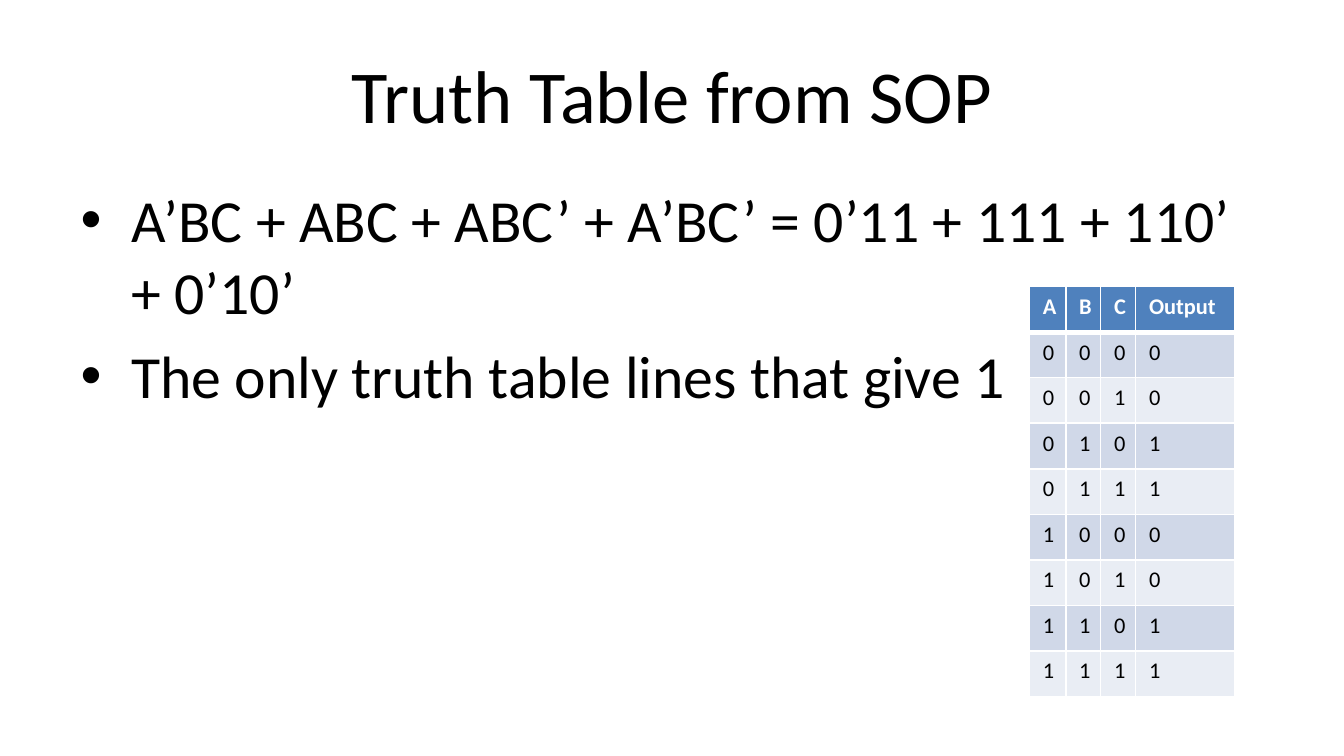
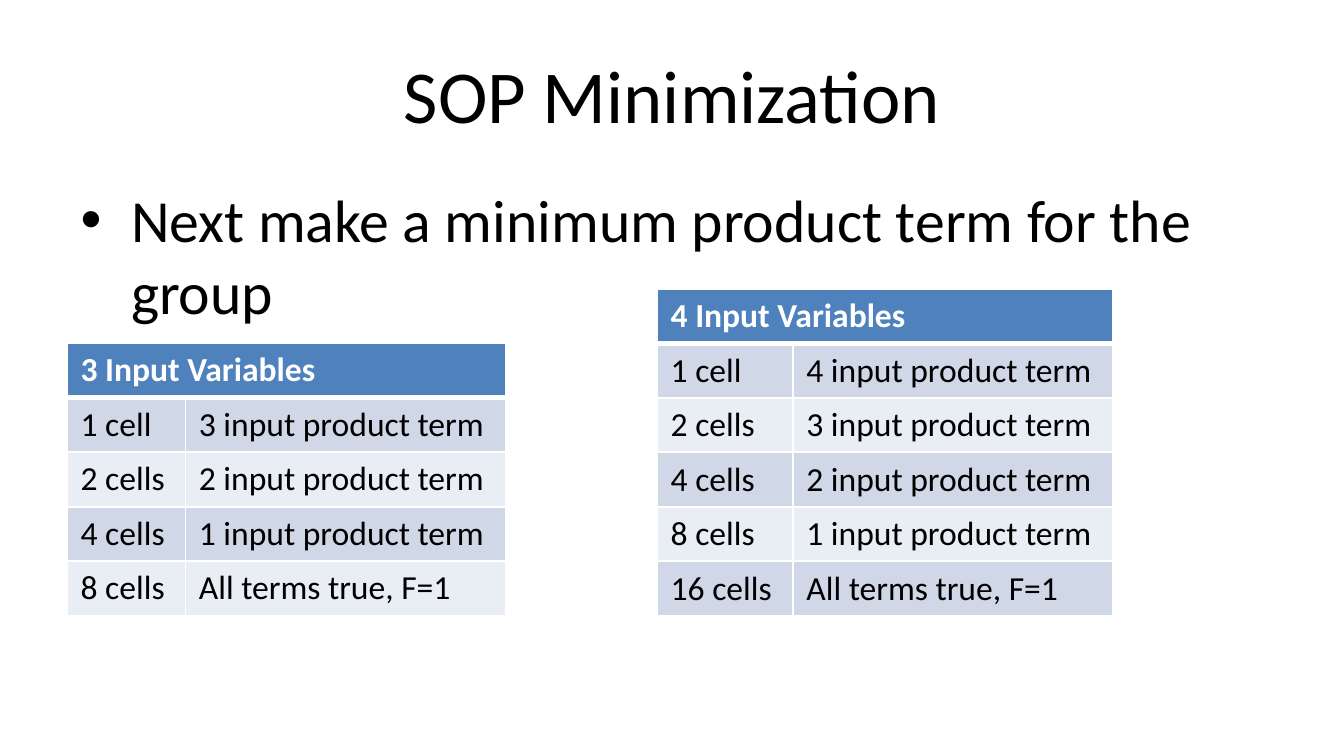
from dataclasses import dataclass
from itertools import product

from lxml.etree import SubElement
from pptx import Presentation
from pptx.dml.color import RGBColor
from pptx.enum.text import MSO_ANCHOR, MSO_AUTO_SIZE, PP_ALIGN
from pptx.oxml.ns import qn
from pptx.util import Emu, Inches, Pt

# Shared style
FONT = "Calibri"
BLACK, WHITE = "000000", "FFFFFF"
HEADER_FILL = "4F81BD"
BAND_FILLS = ("D0D8E8", "E9EDF4")
THIN, THICK = 1, 3
SLIDE_WIDTH, SLIDE_HEIGHT = Inches(10), Inches(5.625)


@dataclass(frozen=True)
class Area:
    """A rectangle in percent of the slide's width and height."""
    left: float
    top: float
    width: float
    height: float


@dataclass(frozen=True)
class TableSpec:
    left: float
    top: float
    columns: tuple[float, ...]
    row_height: float
    size: int
    rows: list[tuple[str, ...]]


@dataclass(frozen=True)
class PageSpec:
    title: str
    bullets: list[str]
    tables: list[TableSpec]


TITLE_AREA = Area(5, 4, 90, 16.67)
BODY_AREA = Area(5, 23.33, 90, 66)


def across(percent: float) -> Emu:
    return Emu(round(SLIDE_WIDTH * percent / 100))


def down(percent: float) -> Emu:
    return Emu(round(SLIDE_HEIGHT * percent / 100))


def color(value: str) -> RGBColor:
    return RGBColor.from_string(value)


def write(para, text: str, *, size: int, fill: str = BLACK,
          bold: bool = False, align=None) -> None:
    span = para.add_run()
    span.text = text
    span.font.name = FONT
    span.font.size = Pt(size)
    span.font.bold = bold
    span.font.color.rgb = color(fill)
    if align is not None:
        para.alignment = align


def place(box, area: Area, anchor) -> None:
    box.left, box.top = across(area.left), down(area.top)
    box.width, box.height = across(area.width), down(area.height)
    box.text_frame.auto_size = MSO_AUTO_SIZE.NONE
    box.text_frame.vertical_anchor = anchor


def add_borders(cell, top: int, bottom: int) -> None:
    properties = cell._tc.get_or_add_tcPr()
    for side, points in (("L", THIN), ("R", THIN), ("T", top), ("B", bottom)):
        line = SubElement(properties, qn(f"a:ln{side}"), w=str(Pt(points)))
        paint = SubElement(line, qn("a:solidFill"))
        SubElement(paint, qn("a:srgbClr"), val=WHITE)


def add_table(page, spec: TableSpec) -> None:
    row_count, column_count = len(spec.rows), len(spec.columns)
    table = page.shapes.add_table(
        row_count, column_count, across(spec.left), down(spec.top),
        across(sum(spec.columns)), down(spec.row_height * row_count)).table
    for column, width in zip(table.columns, spec.columns):
        column.width = across(width)
    for row in table.rows:
        row.height = down(spec.row_height)

    for row_index, texts in enumerate(spec.rows):
        header = row_index == 0
        for column_index in range(column_count):
            cell = table.cell(row_index, column_index)
            # The thick rule lies between the header and the first data row
            add_borders(cell, THICK if row_index == 1 else THIN,
                        THICK if header else THIN)
            cell.fill.solid()
            cell.fill.fore_color.rgb = color(
                HEADER_FILL if header else BAND_FILLS[(row_index - 1) % 2])
            if column_index < len(texts):
                write(cell.text_frame.paragraphs[0], texts[column_index],
                      size=spec.size, bold=header,
                      fill=WHITE if header else BLACK)
        # A row with a single text spans the table
        if len(texts) == 1:
            table.cell(row_index, 0).merge(
                table.cell(row_index, column_count - 1))


def add_page(deck, spec: PageSpec) -> None:
    page = deck.slides.add_slide(deck.slide_layouts[1])
    title, body = page.placeholders
    place(title, TITLE_AREA, MSO_ANCHOR.MIDDLE)
    write(title.text_frame.paragraphs[0], spec.title, size=40,
          align=PP_ALIGN.CENTER)
    place(body, BODY_AREA, MSO_ANCHOR.TOP)
    for index, bullet in enumerate(spec.bullets):
        frame = body.text_frame
        para = frame.add_paragraph() if index else frame.paragraphs[0]
        write(para, bullet, size=32)
    for table in spec.tables:
        add_table(page, table)


def truth_rows() -> list[tuple[str, ...]]:
    """The minimized function is simply B."""
    return [("A", "B", "C", "Output")] + [
        (a, b, c, b) for a, b, c in product("01", repeat=3)]


def term_rows(variables: int) -> list[tuple[str, ...]]:
    """Each doubling of the group drops one input from its term."""
    rows = [(f"{variables} Input Variables",)]
    for power in range(variables + 1):
        cells = 2 ** power
        inputs = variables - power
        rows.append((f"{cells} cell{'s' if cells > 1 else ''}",
                     f"{inputs} input product term" if inputs
                     else "All terms true, F=1"))
    return rows


# Slide content
PAGES = [
    PageSpec(
        "Truth Table from SOP",
        ["A’BC + ABC + ABC’ + A’BC’ = 0’11 + 111 + 110’ + 0’10’",
         "The only truth table lines that give 1"],
        [TableSpec(76.6, 37.9, (2.7, 2.6, 2.6, 7.4), 6.03, 12,
                   truth_rows())]),
    PageSpec(
        "SOP Minimization",
        ["Next make a minimum product term for the group"],
        [TableSpec(5, 45.4, (8.8, 23.8), 7.21, 18, term_rows(3)),
         TableSpec(48.9, 38.2, (10.1, 23.8), 7.21, 18, term_rows(4))]),
]


def main() -> None:
    deck = Presentation()
    deck.slide_width, deck.slide_height = SLIDE_WIDTH, SLIDE_HEIGHT
    for spec in PAGES:
        add_page(deck, spec)
    deck.save("out.pptx")


if __name__ == "__main__":
    main()
